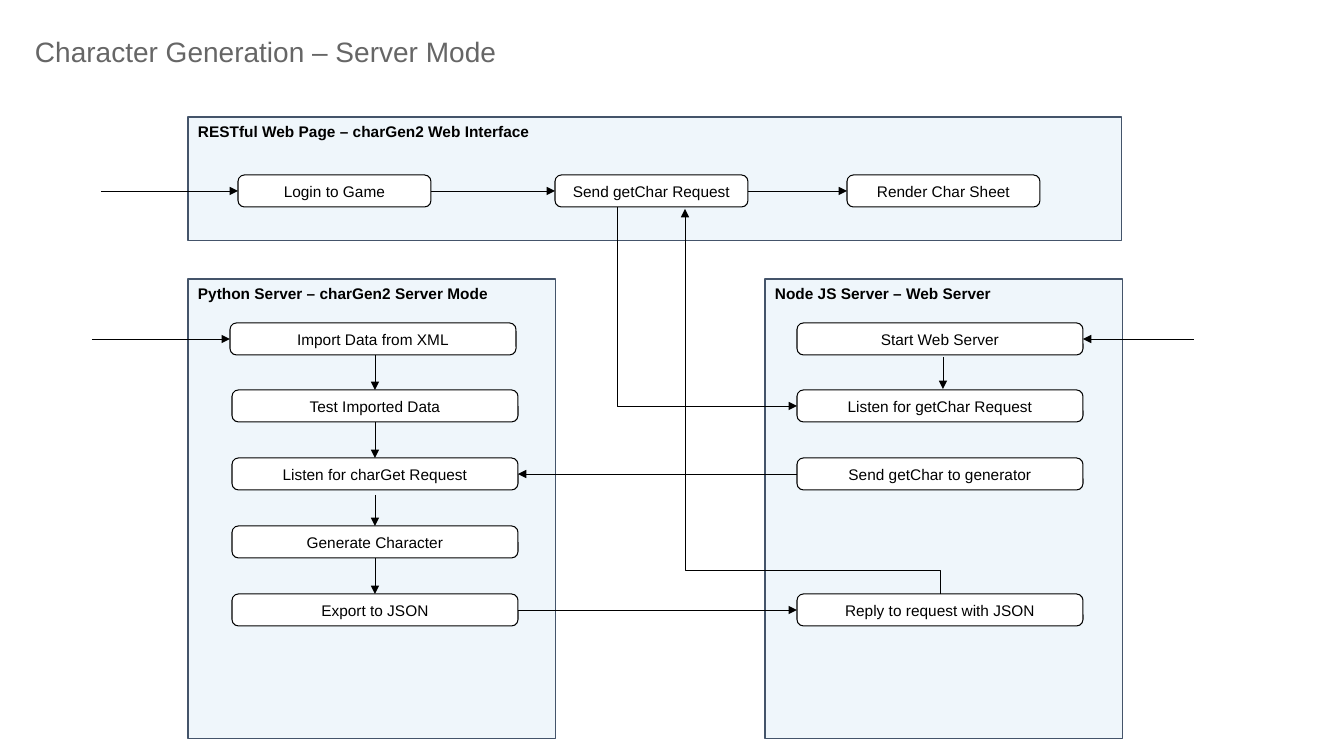
"""Build the Character Generation server-mode flow slide."""
from pptx import Presentation
from pptx import util as u
from pptx.dml.color import RGBColor
from pptx.enum import shapes, text
from pptx.oxml.ns import qn
from lxml import etree

BLACK = RGBColor(0, 0, 0)
WHITE = RGBColor(255, 255, 255)
GREY = RGBColor(0x66, 0x66, 0x66)
PALE = RGBColor(0xEF, 0xF6, 0xFB)
SLATE = RGBColor(0x44, 0x54, 0x6A)

TITLE = "Character Generation – Server Mode"
PANELS = [
    ("RESTful Web Page – charGen2 Web Interface", 188, 117, 934, 124),
    ("Python Server – charGen2 Server Mode", 188, 279, 368, 460),
    ("Node JS Server – Web Server", 765, 279, 358, 460),
]
WEB_STEPS = [("Login to Game", 238), ("Send getChar Request", 555), ("Render Char Sheet", 847)]
PYTHON_STEPS = [
    ("Import Data from XML", 230, 0),
    ("Test Imported Data", 232, 1),
    ("Listen for charGet Request", 232, 2),
    ("Generate Character", 232, 3),
    ("Export to JSON", 232, 4),
]
NODE_STEPS = [
    ("Start Web Server", 797, 0),
    ("Listen for getChar Request", 797, 1),
    ("Send getChar to generator", 797, 2),
    ("Reply to request with JSON", 797, 4),
]
WEB_TOP, WEB_W, STEP_W, STEP_H = 175, 193, 286, 32
PYTHON_X, NODE_X = 375, 943
PYTHON_RIGHT, NODE_LEFT, NODE_RIGHT = 518, 797, 1083


def px(n):
    return u.Emu(round(n * 914400 / 100.8))


def row_top(i):
    return 323 + i * 271 // 4


def row_mid(i):
    return row_top(i) + STEP_H // 2


WEB_MID = WEB_TOP + STEP_H // 2
ARROWS = [
    (101, WEB_MID, 238, WEB_MID),
    (431, WEB_MID, 555, WEB_MID),
    (748, WEB_MID, 847, WEB_MID),
    (92, row_mid(0), 230, row_mid(0)),
    (1194, row_mid(0), NODE_RIGHT, row_mid(0)),
    (NODE_LEFT, row_mid(2), PYTHON_RIGHT, row_mid(2)),
    (PYTHON_RIGHT, row_mid(4), NODE_LEFT, row_mid(4)),
    (NODE_X, 357, NODE_X, 389),
] + [(PYTHON_X, row_top(i) + STEP_H + gap, PYTHON_X, row_top(i + 1))
     for i, gap in enumerate((0, 0, 5, 0))]
ELBOWS = [
    ("bentConnector2", None, 617, 207, NODE_LEFT, row_mid(1)),
    ("bentConnector3", 6200, 940, row_top(4), 685, 209),
]

prs = Presentation()
prs.slide_width, prs.slide_height = px(1344), px(756)
s = prs.slides.add_slide(prs.slide_layouts[6])


def write(tf, words, size, color, bold=False):
    tf.word_wrap = True
    p = tf.paragraphs[0]
    p.text = words
    p.font.name, p.font.size, p.font.bold = "Arial", u.Pt(size), bold
    p.font.color.rgb = color
    return p


def center_tight(tf):
    tf.vertical_anchor = text.MSO_ANCHOR.MIDDLE
    tf.margin_left = tf.margin_right = tf.margin_top = tf.margin_bottom = 0


def add_box(kind, box, fill, line):
    sp = s.shapes.add_shape(kind, *map(px, box))
    sp.shadow.inherit = False
    sp.fill.solid()
    sp.fill.fore_color.rgb = fill
    sp.line.color.rgb = line
    sp.line.width = u.Pt(0.75)
    return sp


def add_panel(words, *box):
    sp = add_box(shapes.MSO_SHAPE.RECTANGLE, box, PALE, SLATE)
    sp.text_frame.vertical_anchor = text.MSO_ANCHOR.TOP
    write(sp.text_frame, words, 11, BLACK, True).alignment = text.PP_ALIGN.LEFT


def add_step(words, *box):
    sp = add_box(shapes.MSO_SHAPE.ROUNDED_RECTANGLE, box, WHITE, BLACK)
    sp.adjustments[0] = 0.2
    center_tight(sp.text_frame)
    write(sp.text_frame, words, 11, BLACK).alignment = text.PP_ALIGN.CENTER


def add_arrow(kind, *ends):
    c = s.shapes.add_connector(kind, *map(px, ends))
    c.line.color.rgb = BLACK
    c.line.width = u.Pt(0.5)
    etree.SubElement(c.line._get_or_add_ln(), qn("a:tailEnd"), type="triangle")
    etree.SubElement(c._element.spPr, qn("a:effectLst"))
    return c


def add_elbow(preset, bend, x1, y1, x2, y2):
    cx, cy, hx, hy = (x1 + x2) / 2, (y1 + y2) / 2, (x2 - x1) / 2, (y2 - y1) / 2
    c = add_arrow(shapes.MSO_CONNECTOR.ELBOW, cx + hy, cy - hx, cx - hy, cy + hx)
    c._element.spPr.find(qn("a:xfrm")).set("rot", str(270 * 60000))
    geom = c._element.spPr.find(qn("a:prstGeom"))
    geom.set("prst", preset)
    if bend:
        etree.SubElement(geom.find(qn("a:avLst")), qn("a:gd"), name="adj1", fmla=f"val {bend}")


title = s.shapes.add_textbox(*map(px, (35, 9, 1273, 84))).text_frame
center_tight(title)
write(title, TITLE, 20, GREY)
for panel in PANELS:
    add_panel(*panel)
for words, x in WEB_STEPS:
    add_step(words, x, WEB_TOP, WEB_W, STEP_H)
for words, x, row in PYTHON_STEPS + NODE_STEPS:
    add_step(words, x, row_top(row), STEP_W, STEP_H)
for ends in ARROWS:
    add_arrow(shapes.MSO_CONNECTOR.STRAIGHT, *ends)
for elbow in ELBOWS:
    add_elbow(*elbow)
prs.save("out.pptx")
